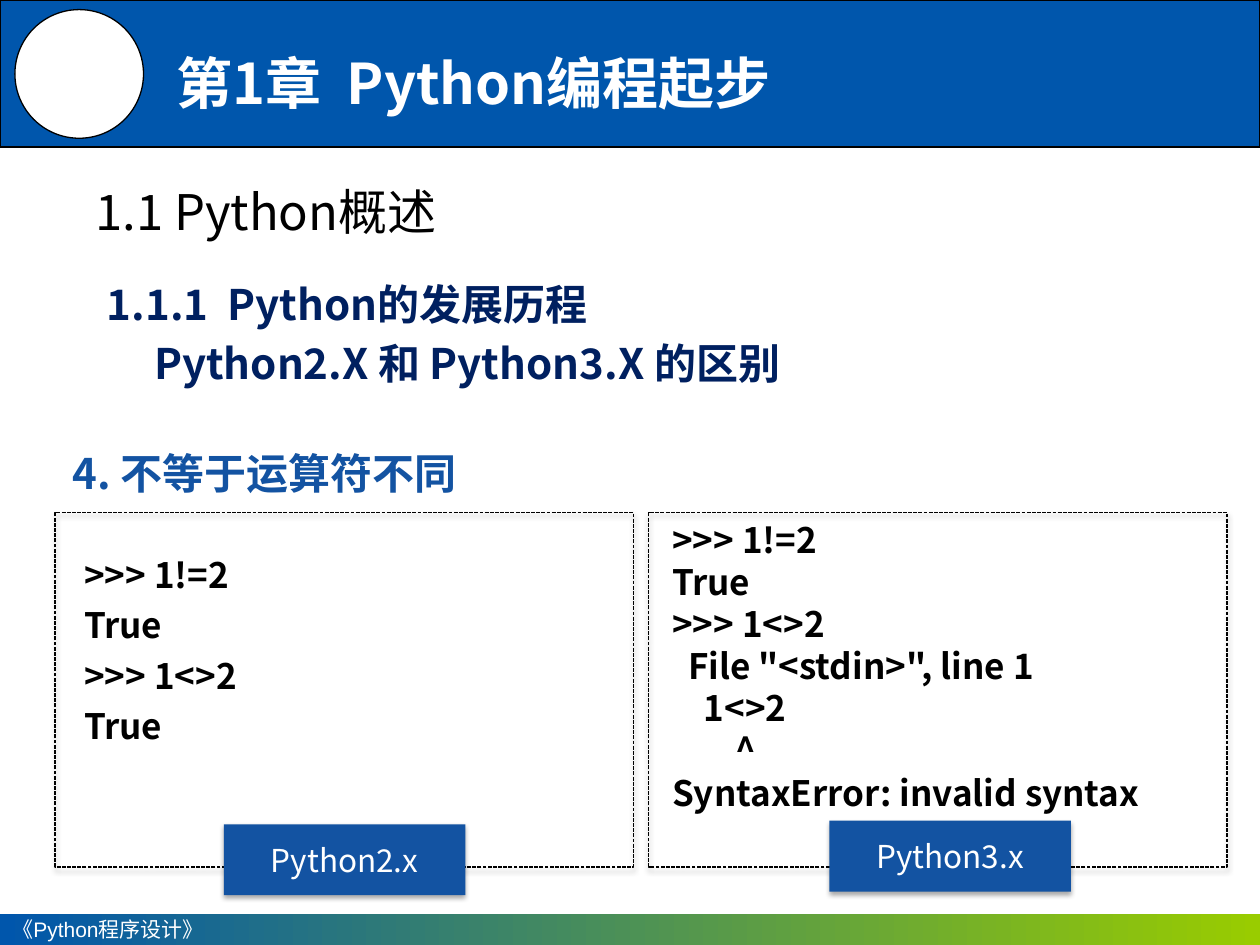
from lxml.etree import SubElement
from pptx import Presentation
from pptx.dml.color import RGBColor
from pptx.enum.dml import MSO_LINE
from pptx.enum.shapes import MSO_SHAPE
from pptx.enum.text import MSO_ANCHOR, MSO_AUTO_SIZE, PP_ALIGN
from pptx.oxml.ns import qn
from pptx.util import Pt

BLUE = RGBColor(0x00, 0x56, 0xAC)
GREEN = RGBColor(0x99, 0xCC, 0x00)
ACCENT = RGBColor(0x13, 0x53, 0xA2)
NAVY = RGBColor(0x00, 0x20, 0x60)
BLACK = RGBColor(0, 0, 0)
WHITE = RGBColor(0xFF, 0xFF, 0xFF)
CJK = "Noto Sans CJK SC"

CHAPTER = "第1章  Python编程起步"
COURSE = "《Python程序设计》"
SECTION = ["1.1 Python概述"]
TOPIC = ["1.1.1  Python的发展历程", "Python2.X 和 Python3.X 的区别"]
POINT = ["4. 不等于运算符不同"]
SESSIONS = [
    {
        "version": "Python2.x",
        "label_at": (128, 471),
        "code_box": (41, 308, 320, 124),
        "spacing": 1.2,
        "code": [">>> 1!=2", "True", ">>> 1<>2", "True"],
    },
    {
        "version": "Python3.x",
        "label_at": (474, 469),
        "code_box": (377, 293, 330, 177),
        "spacing": 1.0,
        "code": [
            ">>> 1!=2",
            "True",
            ">>> 1<>2",
            '  File "<stdin>", line 1',
            "    1<>2",
            "        ^",
            "SyntaxError: invalid syntax",
        ],
    },
]
FRAME_LEFT, FRAME_TOP, FRAME_STEP = 31.5, 293, 339.25
FRAME_SIZE = (330.5, 202.5)
LABEL_SIZE = (138, 40.5)


def write(shape, lines, size, color, bold=False, font=CJK,
          anchor=MSO_ANCHOR.TOP, align=PP_ALIGN.LEFT, spacing=None):
    frame = shape.text_frame
    settings = {"word_wrap": True, "auto_size": MSO_AUTO_SIZE.NONE,
                "vertical_anchor": anchor}
    for name, value in settings.items():
        setattr(frame, name, value)
    for index, line in enumerate(lines):
        paragraph = frame.add_paragraph() if index else frame.paragraphs[0]
        paragraph.alignment = align
        paragraph.line_spacing = spacing
        run = paragraph.add_run()
        run.text = line
        for name, value in {"size": Pt(size), "bold": bold, "name": font}.items():
            setattr(run.font, name, value)
        run.font.color.rgb = color
        east_asian = SubElement(run.font._element, qn("a:ea"))
        east_asian.set("typeface", CJK)
    return frame.paragraphs


def add_shape(slide, kind, box, fill=None, line=None):
    shape = slide.shapes.add_shape(kind, *map(Pt, box))
    shape.shadow.inherit = False
    if fill is None:
        shape.fill.background()
    else:
        shape.fill.solid()
        shape.fill.fore_color.rgb = fill
    if line is None:
        shape.line.fill.background()
    else:
        shape.line.color.rgb = line
        shape.line.width = Pt(0.75)
    return shape


def add_text(slide, box, lines, size, color, **style):
    return write(slide.shapes.add_textbox(*map(Pt, box)), lines, size, color, **style)


def drop_shadow(shape):
    effects = shape._element.spPr.find(qn("a:effectLst"))
    shadow = SubElement(effects, qn("a:outerShdw"), blurRad=str(Pt(3.1)),
                        dist=str(Pt(1.8)), dir="5400000", rotWithShape="0")
    color = SubElement(shadow, qn("a:srgbClr"), val=str(BLACK))
    SubElement(color, qn("a:alpha"), val="35000")


def build_banner(slide):
    banner = add_shape(slide, MSO_SHAPE.RECTANGLE, (0, 0, 720, 84), BLUE, BLACK)
    add_shape(slide, MSO_SHAPE.OVAL, (8.5, 5.5, 73.5, 73.5), WHITE, BLACK)
    title = slide.shapes.title
    place = {"left": 93.5, "top": 11, "width": 465, "height": 72}
    for name, value in place.items():
        setattr(title, name, Pt(value))
    write(title, [CHAPTER], 32, WHITE, bold=True, anchor=MSO_ANCHOR.MIDDLE)
    title._element.getparent().remove(banner._element)
    title._element.addprevious(banner._element)


def build_footer(slide):
    footer = add_shape(slide, MSO_SHAPE.RECTANGLE, (0, 522, 720, 18))
    footer.fill.gradient()
    footer.fill.gradient_angle = 0
    for stop, color, position in zip(footer.fill.gradient_stops, (BLUE, GREEN), (0, 1)):
        stop.color.rgb = color
        stop.position = position
    write(footer, [COURSE], 12, WHITE, font="Arial", anchor=MSO_ANCHOR.MIDDLE)


def build_headings(slide):
    add_text(slide, (47.5, 100, 296, 45), SECTION, 28, BLACK)
    topic, difference = add_text(slide, (54, 145.5, 416, 110), TOPIC, 24, NAVY, bold=True)
    topic.line_spacing = Pt(39)
    difference.space_before = Pt(4.8)
    difference._p.get_or_add_pPr().set("marL", str(Pt(27)))
    add_text(slide, (34.5, 252, 651, 36), POINT, 24, ACCENT, bold=True)


def build_session(slide, index, session):
    frame_box = (FRAME_LEFT + index * FRAME_STEP, FRAME_TOP, *FRAME_SIZE)
    frame = add_shape(slide, MSO_SHAPE.RECTANGLE, frame_box, line=BLACK)
    frame.line.dash_style = MSO_LINE.SQUARE_DOT
    drop_shadow(frame)
    label = add_shape(slide, MSO_SHAPE.RECTANGLE,
                      (*session["label_at"], *LABEL_SIZE), ACCENT)
    drop_shadow(label)
    write(label, [session["version"]], 18, WHITE,
          anchor=MSO_ANCHOR.MIDDLE, align=PP_ALIGN.CENTER)
    add_text(slide, session["code_box"], session["code"], 20, BLACK,
             bold=True, spacing=session["spacing"])


def main():
    deck = Presentation()
    deck.slide_width, deck.slide_height = Pt(720), Pt(540)
    slide = deck.slides.add_slide(deck.slide_layouts[5])
    build_banner(slide)
    build_footer(slide)
    build_headings(slide)
    for index, session in enumerate(SESSIONS):
        build_session(slide, index, session)
    deck.save("out.pptx")


if __name__ == "__main__":
    main()
